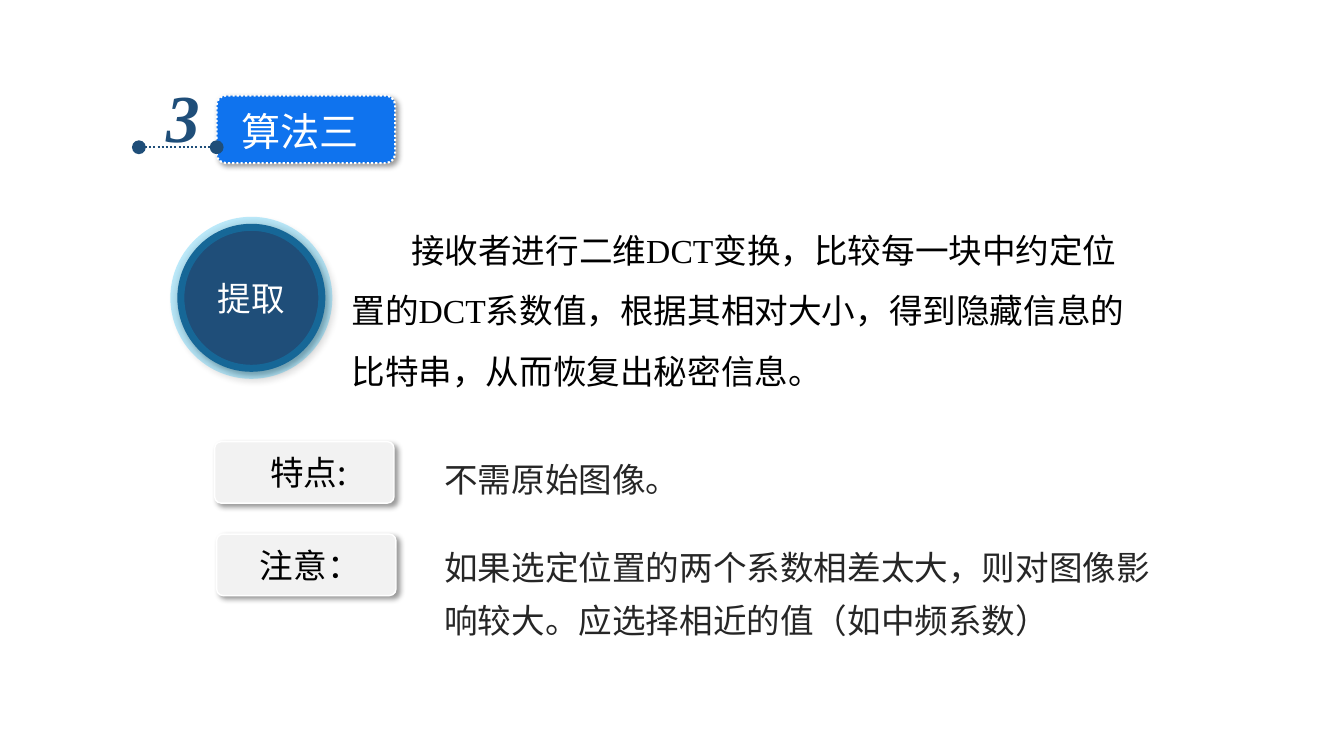
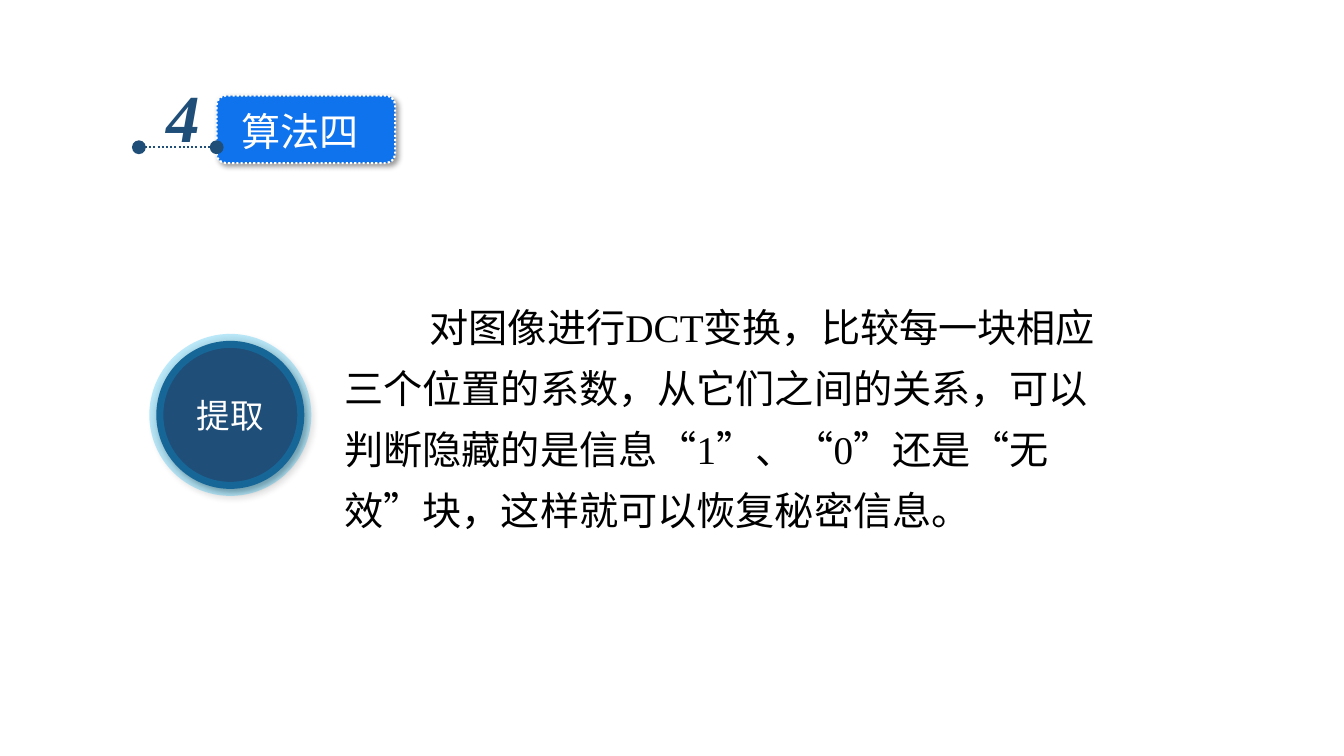
from lxml.etree import SubElement
from pptx import Presentation
from pptx.dml.color import RGBColor
from pptx.enum.dml import MSO_LINE
from pptx.enum.shapes import MSO_CONNECTOR, MSO_SHAPE
from pptx.enum.text import MSO_ANCHOR, MSO_AUTO_SIZE, PP_ALIGN
from pptx.oxml.ns import qn
from pptx.util import Cm, Pt

SANS = "Noto Sans CJK SC"
SERIF = "Times New Roman"
WHITE, BLACK, NAVY = "FFFFFF", "000000", "1F4E79"
BLUE, SKY, PALE, GREY = "0F73EE", "00B0F0", "F2F2F2", "262626"

sections = [
    {
        "number": "3", "title": "算法三", "circle": (4.47, 5.64),
        "box": (8.61, 5.16, 20.02, 4.72), "size": 24, "spacing": 1.5, "indent": 1.5,
        "body": ["接收者进行二维DCT变换，比较每一块中约定位置的DCT系数值，"
                 "根据其相对大小，得到隐藏信息的比特串，从而恢复出秘密信息。"],
        "notes": [
            ("特点:", (5.41, 11.13), "不需原始图像。", 11.13),
            ("注意：", (5.46, 13.46),
             "如果选定位置的两个系数相差太大，则对图像影响较大。应选择相近的值（如中频系数）", 13.36),
        ],
    },
    {
        "number": "4", "title": "算法四", "circle": (3.94, 8.59),
        "box": (8.43, 7.16, 20.14, 6.35), "size": 28, "spacing": 1.3, "indent": 2.15,
        "body": ["对图像进行", "DCT",
                 "变换，比较每一块相应三个位置的系数，从它们之间的关系，可以判断隐藏的是信息“",
                 "1", "”、“", "0", "”还是“无效”块，这样就可以恢复秘密信息。"],
        "notes": [],
    },
]


def write(shape, pieces, size, color, font=SANS, spacing=None, align=PP_ALIGN.LEFT):
    """Fill the shape with one paragraph; of several pieces, the Chinese ones use SANS."""
    frame = shape.text_frame
    frame.auto_size = MSO_AUTO_SIZE.NONE
    paragraph = frame.paragraphs[0]
    paragraph.alignment = align
    if spacing:
        paragraph.line_spacing = spacing
    for piece in pieces:
        run = paragraph.add_run()
        run.text = piece
        if len(pieces) > 1 and not piece.isascii():
            run.font.name = SANS
    paragraph.font.size = Pt(size)
    paragraph.font.color.rgb = RGBColor.from_string(color)
    paragraph.font.name = font
    defaults = paragraph._p.pPr.find(qn("a:defRPr"))
    SubElement(defaults, qn("a:ea"), typeface=SANS)
    return paragraph


def add_raised(slide, preset, box, fill, line, width, corner=None):
    """Add a filled shape with an outline and a soft shadow to the lower right."""
    shape = slide.shapes.add_shape(preset, *map(Cm, box))
    if corner:
        shape.adjustments[0] = corner
    shape.fill.solid()
    shape.fill.fore_color.rgb = RGBColor.from_string(fill)
    shape.line.color.rgb = RGBColor.from_string(line)
    shape.line.width = Pt(width)
    shape.shadow.inherit = False
    effects = shape._element.spPr.find(qn("a:effectLst"))
    shadow = SubElement(effects, qn("a:outerShdw"), blurRad=str(Pt(4)), dist=str(Pt(3)),
                        dir="2700000", algn="tl", rotWithShape="0")
    shade = SubElement(shadow, qn("a:srgbClr"), val=BLACK)
    SubElement(shade, qn("a:alpha"), val="40000")
    frame = shape.text_frame
    frame.margin_left = frame.margin_right = frame.margin_top = frame.margin_bottom = 0
    frame.vertical_anchor = MSO_ANCHOR.MIDDLE
    return shape


prs = Presentation()
prs.slide_width, prs.slide_height = Cm(33.87), Cm(19.05)

for section in sections:
    slide = prs.slides.add_slide(prs.slide_layouts[5])

    # Numbered heading
    plate = add_raised(slide, MSO_SHAPE.ROUNDED_RECTANGLE, (5.46, 2.41, 4.5, 1.7),
                       BLUE, WHITE, 1.5, 0.137)
    plate.line.dash_style = MSO_LINE.ROUND_DOT

    title = slide.shapes.title
    title.left, title.top, title.width, title.height = map(Cm, (5.82, 2.57, 3.5, 1.45))
    title.text_frame.word_wrap = False
    title.text_frame.vertical_anchor = MSO_ANCHOR.TOP
    write(title, [section["title"]], 28, WHITE)
    slide.shapes._spTree.append(title._element)  # in front of the plate

    number = slide.shapes.add_textbox(*map(Cm, (3.94, 1.78, 1.37, 2.31)))
    numeral = write(number, [section["number"]], 48, NAVY, SERIF)
    numeral.font.bold = numeral.font.italic = True

    rule = slide.shapes.add_connector(MSO_CONNECTOR.STRAIGHT,
                                      *map(Cm, (3.5, 3.71, 5.46, 3.71)))
    rule.line.color.rgb = RGBColor.from_string(NAVY)
    rule.line.width = Pt(1.5)
    rule.line.dash_style = MSO_LINE.ROUND_DOT
    for end in ("a:headEnd", "a:tailEnd"):
        SubElement(rule.line._get_or_add_ln(), qn(end), type="oval", w="lg", len="lg")
    SubElement(rule._element.spPr, qn("a:effectLst"))

    # Extraction step
    body = slide.shapes.add_textbox(*map(Cm, section["box"]))
    body.text_frame.word_wrap = True
    step = write(body, section["body"], section["size"], BLACK, SERIF, section["spacing"])
    step._p.pPr.set("indent", str(Cm(section["indent"])))

    circle = add_raised(slide, MSO_SHAPE.OVAL, (*section["circle"], 3.73, 3.73),
                        NAVY, SKY, 10)
    ring_color = circle.line._get_or_add_ln().find(".//" + qn("a:srgbClr"))
    SubElement(ring_color, qn("a:alpha"), val="25000")
    write(circle, ["提取"], 24, WHITE, align=PP_ALIGN.CENTER)

    # Labelled remarks
    for label, corner, remark, remark_top in section["notes"]:
        card = add_raised(slide, MSO_SHAPE.ROUNDED_RECTANGLE, (*corner, 4.52, 1.55),
                          PALE, WHITE, 1, 0.108)
        card.text_frame.margin_left = Cm(0.2)
        write(card, [label], 24, BLACK, align=PP_ALIGN.CENTER)
        remark_box = slide.shapes.add_textbox(*map(Cm, (10.95, remark_top, 18.49, 2.82)))
        remark_box.text_frame.word_wrap = True
        write(remark_box, [remark], 24, GREY, spacing=1.3)

prs.save("out.pptx")
